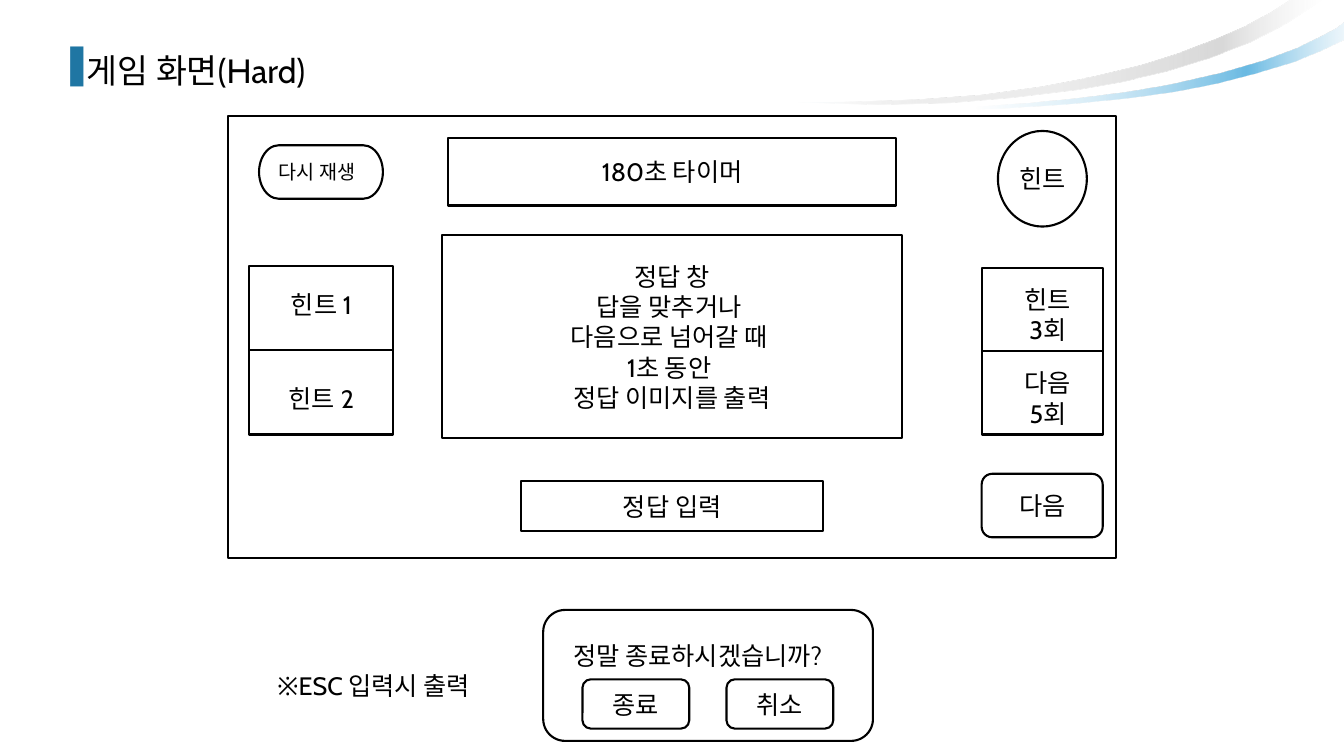
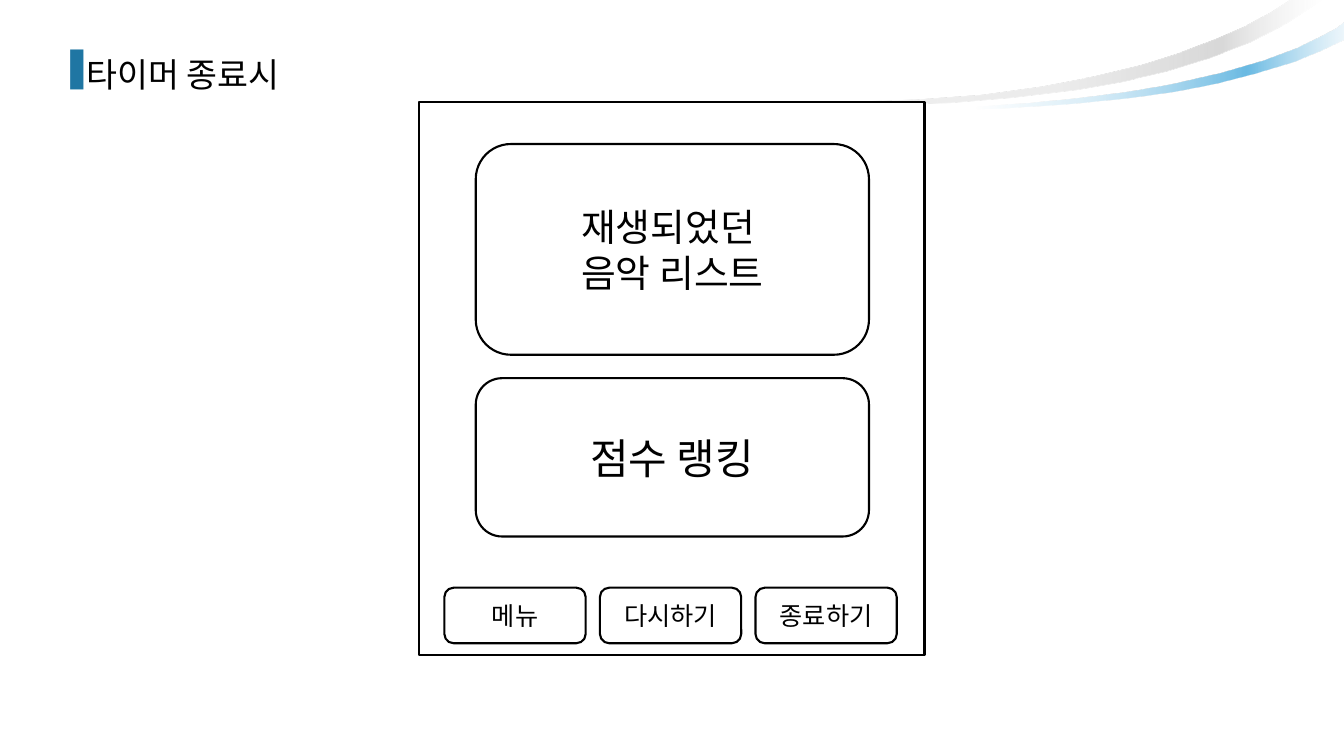
"""Build two wireframe slides of a music quiz game: hard mode and the end of the timer."""
from lxml import etree
from pptx import Presentation, util as u
from pptx.dml.color import RGBColor
from pptx.enum import shapes, text
from pptx.oxml.ns import qn

FONT = "Cabin"
BLACK = RGBColor(0x00, 0x00, 0x00)
WHITE = RGBColor(0xFF, 0xFF, 0xFF)
MARK_BLUE = RGBColor(0x1F, 0x76, 0xA3)
PALE_BLUE = RGBColor(0xD5, 0xEB, 0xF7)
DEEP_BLUE = RGBColor(0x2B, 0x9D, 0xD7)
SKY_BLUE = RGBColor(0x80, 0xC4, 0xE7)
SOFT_BLUE = RGBColor(0xAA, 0xD8, 0xEF)
PALE_GREY = RGBColor(0xF2, 0xF2, 0xF2)
LIGHT_GREY = RGBColor(0xD9, 0xD9, 0xD9)
MID_GREY = RGBColor(0xBF, 0xBF, 0xBF)

RECT = shapes.MSO_SHAPE.RECTANGLE
OVAL = shapes.MSO_SHAPE.OVAL
PILL = shapes.MSO_SHAPE.FLOWCHART_TERMINATOR
ROUND = shapes.MSO_SHAPE.FLOWCHART_ALTERNATE_PROCESS
LABEL = None
LEFT, CENTER = text.PP_ALIGN.LEFT, text.PP_ALIGN.CENTER

RIBBONS = [
    {"points": [(33.87, 0.58), (33.66, 0.74), (33.27, 0.94), (32.69, 1.22), (31.88, 1.52),
                (30.81, 1.83), (29.49, 2.13), (28.42, 2.31), (27.25, 2.46), (25.91, 2.59),
                (24.43, 2.69), (22.78, 2.74), (20.98, 2.72), (22.43, 2.77), (24, 2.77),
                (25.4, 2.72), (26.95, 2.62), (28.55, 2.46), (29.62, 2.31), (30.66, 2.11),
                (31.67, 1.85), (32.61, 1.57), (33.27, 1.3), (33.87, 1.02)],
     "stops": [(0, PALE_BLUE, 42), (19, DEEP_BLUE, 70), (50, SKY_BLUE, 29),
               (72, SKY_BLUE, 0), (89, SOFT_BLUE, 0), (100, PALE_BLUE, 0)]},
    {"points": [(19.89, 2.57), (22.12, 2.64), (23.95, 2.59), (25.5, 2.46), (27.15, 2.26),
                (28.27, 2.06), (29.39, 1.8), (30.45, 1.47), (31.5, 1.07), (32.44, 0.58),
                (33.32, 0), (32.51, 0), (32, 0.33), (31.39, 0.66), (30.63, 0.99),
                (29.77, 1.32), (28.73, 1.65), (27.56, 1.93), (26.24, 2.18), (24.74, 2.39),
                (23.09, 2.51), (21.23, 2.57)],
     "stops": [(0, PALE_GREY, 0), (19, LIGHT_GREY, 100), (50, LIGHT_GREY, 46),
               (72, LIGHT_GREY, 45), (89, MID_GREY, 12), (100, SKY_BLUE, 0)]},
]

HINT_PANEL = (6.27, 6.71, 3.63, 4.24)
COUNT_PANEL = (24.74, 6.76, 3.05, 4.19)
ANSWER_LINES = ["정답 창", "답을 맞추거나 ", "다음으로 넘어갈 때 ", "1초 동안 ", "정답 이미지를 출력"]

GAME_PARTS = [
    (RECT, (5.74, 2.92, 22.38, 11.15), []),
    (OVAL, (25.15, 3.3, 2.24, 2.41), ["힌트"]),
    (RECT, (11.3, 3.48, 11.28, 1.7), ["180초 타이머"]),
    (PILL, (6.53, 3.66, 3.12, 1.35), []),
    (LABEL, (6.78, 3.91, 2.64, 0.81), ["다시 재생"], 14, LEFT),
    (RECT, HINT_PANEL, []),
    (RECT, (13.13, 12.12, 7.62, 1.27), ["정답 입력"]),
    (ROUND, (24.74, 11.94, 3.05, 1.6), ["다음"]),
    (RECT, (11.13, 5.92, 11.61, 5.13), ANSWER_LINES),
    (RECT, COUNT_PANEL, []),
    (ROUND, (13.69, 15.37, 8.31, 3.3), []),
    (LABEL, (14.2, 16, 7.26, 1), ["정말 종료하시겠습니까?"], 18, LEFT),
    (LABEL, (5.51, 16.76, 7.82, 1), ["※ESC 입력시 출력"]),
]
GAME_PARTS += [(LABEL, (6.78, 7.16 + 2.37 * row, 2.64, 1.02), [words])
               for row, words in enumerate(["힌트 1", "힌트 2"])]
GAME_PARTS += [(LABEL, (25.43, 7.04 + 2.1 * row, 1.96, 1.78), [words])
               for row, words in enumerate(["힌트 3회", "다음 5회"])]
GAME_PARTS += [(ROUND, (14.68 + 3.63 * column, 17.12, 2.69, 1.24), [words])
               for column, words in enumerate(["종료", "취소"])]

RESULT_PARTS = [
    (RECT, (10.57, 2.57, 12.73, 13.94), []),
    (ROUND, (11.99, 3.63, 9.91, 5.31), ["재생되었던 ", "음악 리스트"], 27),
    (ROUND, (11.99, 9.53, 9.91, 3.99), ["점수 랭킹"], 30),
]
RESULT_PARTS += [(ROUND, (11.2 + 3.92 * column, 14.81, 3.56, 1.4), [words])
                 for column, words in enumerate(["메뉴", "다시하기", "종료하기"])]

SLIDES = [
    {"title": "게임 화면(Hard)", "top": 1.14, "parts": GAME_PARTS,
     "split": [HINT_PANEL, COUNT_PANEL]},
    {"title": "타이머 종료시", "top": 1.22, "parts": RESULT_PARTS, "split": []},
]


def set_all(target, values):
    for name, value in values.items():
        setattr(target, name, value)


def write(frame, lines, size, align):
    for number, words in enumerate(lines):
        para = frame.add_paragraph() if number else frame.paragraphs[0]
        para.alignment = align
        span = para.add_run()
        span.text = words
        set_all(span.font, {"name": FONT, "size": u.Pt(size)})
        span.font.color.rgb = BLACK


def draw_outline(line):
    line.color.rgb = BLACK
    line.width = u.Pt(1.5)


def add_part(page, kind, place, lines, size=18, align=CENTER):
    place = [u.Cm(value) for value in place]
    if kind is LABEL:
        box = page.shapes.add_textbox(*place)
    else:
        box = page.shapes.add_shape(kind, *place)
        box.shadow.inherit = False
        box.fill.solid()
        box.fill.fore_color.rgb = WHITE
        draw_outline(box.line)
        set_all(box.text_frame, {"margin_left": 0, "margin_right": 0, "margin_top": 0,
                                 "margin_bottom": 0,
                                 "vertical_anchor": text.MSO_ANCHOR.MIDDLE})
    box.text_frame.word_wrap = True
    write(box.text_frame, lines, size, align)


def split_panel(page, panel):
    left, top, width, height = panel
    middle = u.Cm(top + height / 2)
    divider = page.shapes.add_connector(shapes.MSO_CONNECTOR.STRAIGHT, u.Cm(left), middle,
                                        u.Cm(left + width), middle)
    draw_outline(divider.line)
    etree.SubElement(divider.element.spPr, qn("a:effectLst"))


def format_title(page, words, top):
    title = page.shapes.title
    set_all(title, {"left": u.Cm(1.19), "top": u.Cm(top),
                    "width": u.Cm(31.39), "height": u.Cm(1.5)})
    set_all(title.text_frame, {"auto_size": text.MSO_AUTO_SIZE.NONE, "word_wrap": True,
                               "vertical_anchor": text.MSO_ANCHOR.TOP})
    write(title.text_frame, [words], 24, LEFT)
    para = title.text_frame.paragraphs[0]
    para.space_before = u.Pt(4.8)
    props = para.runs[0].font and title.element.find(".//" + qn("a:pPr"))
    indent = u.Cm(0.74)
    props.set("marL", str(indent))
    props.set("indent", str(-indent))
    color = etree.SubElement(props, qn("a:buClr"))
    etree.SubElement(color, qn("a:srgbClr"), val=str(MARK_BLUE))
    etree.SubElement(props, qn("a:buChar"), char="▐")


def add_ribbons(page, layout):
    for number, ribbon in enumerate(RIBBONS):
        start, *rest = [(u.Cm(x), u.Cm(y)) for x, y in ribbon["points"]]
        builder = page.shapes.build_freeform(*start)
        builder.add_line_segments(rest, close=True)
        shape = builder.convert_to_shape()
        shape.shadow.inherit = False
        shape.line.fill.background()
        shape.fill.gradient()
        shape.fill.gradient_angle = 180
        stops = shape.element.find(".//" + qn("a:gsLst"))
        for old in list(stops):
            stops.remove(old)
        for position, color, alpha in ribbon["stops"]:
            stop = etree.SubElement(stops, qn("a:gs"), pos=str(position * 1000))
            tone = etree.SubElement(stop, qn("a:srgbClr"), val=str(color))
            etree.SubElement(tone, qn("a:alpha"), val=str(alpha * 1000))
        shape.element.find(".//" + qn("p:cNvPr")).set("id", str(20 + number))
        layout.shapes.element.insert(2 + number, shape.element)


def main():
    deck = Presentation()
    set_all(deck, {"slide_width": u.Cm(33.87), "slide_height": u.Cm(19.05)})
    layout = deck.slide_layouts[5]
    for number, content in enumerate(SLIDES):
        page = deck.slides.add_slide(layout)
        if number == 0:
            add_ribbons(page, layout)
        format_title(page, content["title"], content["top"])
        for part in content["parts"]:
            add_part(page, *part)
        for panel in content["split"]:
            split_panel(page, panel)
    deck.save("out.pptx")


if __name__ == "__main__":
    main()
